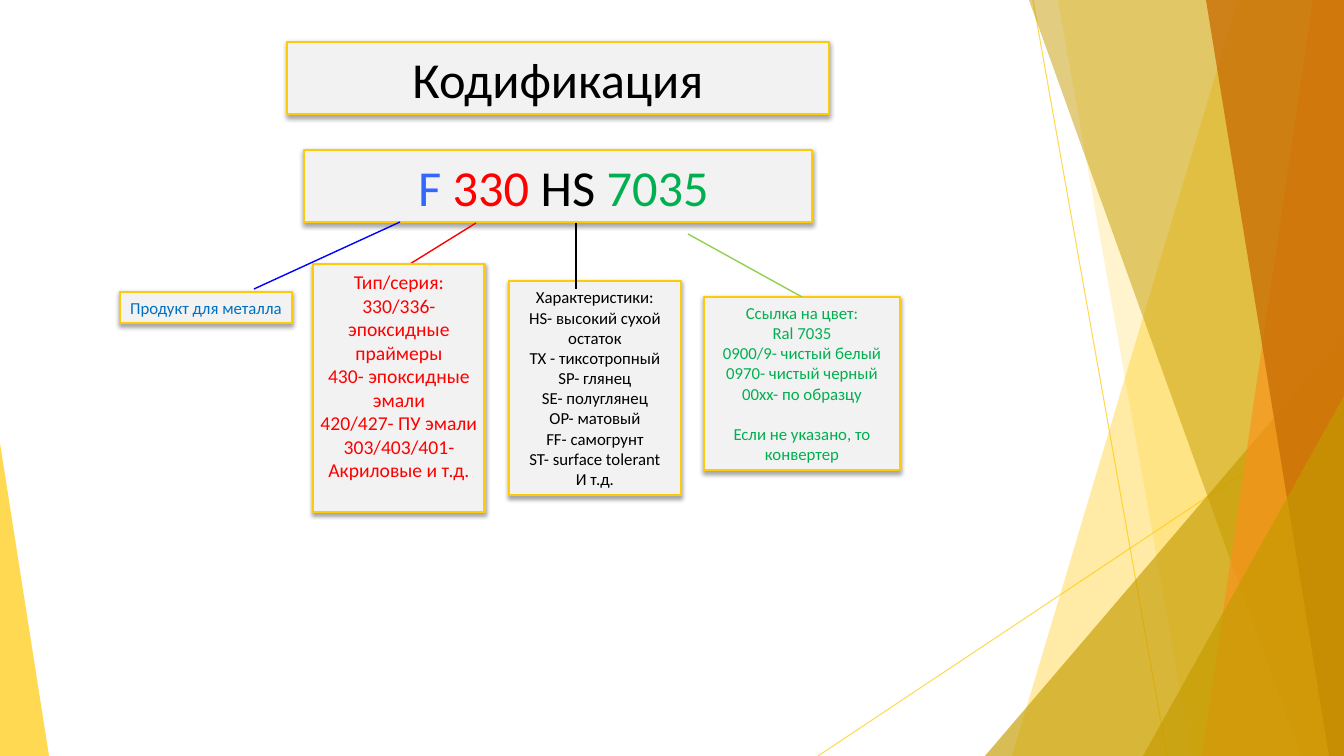
from lxml import etree
from pptx import Presentation
from pptx import util as u
from pptx.dml.color import RGBColor
from pptx.enum import shapes, text
from pptx.oxml.ns import qn

WIDTH, HEIGHT = 1344, 756
SCALE = 12192000 / WIDTH
FONT = "Calibri"
GOLD, OCHRE, ORANGE, RUST = "FFCA08", "C59B00", "F8931D", "CA6F06"
BLACK, RED, GREEN = "000000", "FF0000", "00B050"
INSET = 5

# Background rays: start, end, colour, width in points, opacity
RAYS = [
    ((1033, 0), (1167, 756), GOLD, 0.75, 70),
    ((1344, 406), (818, 756), GOLD, 0.75, 70),
]
# Background facets, back to front. A band is (top x, bottom x) and reaches
# the right edge; a triangle is (left, top, width, height, apex position).
FACETS = [
    ((1238, 1012), GOLD, 36),
    ((1058, 1192), GOLD, 20),
    ((985, 336, 359, 420, 1), OCHRE, 66),
    ((1029, 1301), OCHRE, 50),
    ((1313, 1202), ORANGE, 70),
    ((1206, 1329), RUST, 80),
    ((1143, 396, 201, 360, 1), OCHRE, 66),
    ((0, 443, 49, 313, 0), GOLD, 70),
]

TITLE, TITLE_BOX = "Кодификация", (287, 42, 542, 72)
CODE_BOX = (304, 150, 508, 72)
CODE = [("F ", "3366FF"), ("330 ", RED), ("HS ", BLACK), ("7035", GREEN)]
CODE_INDENT = 11

PRODUCT = ((120, 292, 172, 31), ["Продукт для металла"], 12, "0070C0")
SERIES = ((313, 264, 172, 248), [
    "Тип/серия:",
    "330/336- эпоксидные праймеры",
    "430- эпоксидные эмали",
    "420/427- ПУ эмали",
    "303/403/401-Акриловые и т.д.",
], 14, RED)
SERIES_BOTTOM_GAP = 24
FEATURES = ((509, 281, 172, 214), [
    "Характеристики:",
    "HS- высокий сухой остаток",
    "TX - тиксотропный",
    "SP- глянец",
    "SE- полуглянец",
    "OP- матовый",
    "FF- самогрунт",
    "ST- surface tolerant",
    "И т.д.",
], 12, BLACK)
COLOURS = ((704, 297, 196, 173), [
    "Ссылка на цвет:",
    "Ral 7035",
    "0900/9- чистый белый",
    "0970- чистый черный",
    "00xx- по образцу",
    "Если не указано, то конвертер",
], 12, GREEN)
COLOURS_LAST_GAP = 14.6

# Links from the code to its notes; the first two lie under the series note
LINKS_UNDER = [
    ((400, 222), (254, 289), "0000FF", 1, 100),
    ((476, 223), (368, 290), RED, 1, 100),
]
LINKS_OVER = [
    ((688, 234), (802, 297), "92D050", 1, 100),
    ((576, 223), (576, 289), BLACK, 1, 100),
]


def px(*lengths):
    return [round(length * SCALE) for length in lengths]


def paint(color_format, colour):
    color_format.rgb = RGBColor.from_string(colour)


def fade(element, opacity):
    """Set the opacity, in percent, of the first colour inside element."""
    colour = next(element.iter(qn("a:srgbClr")))
    etree.SubElement(colour, qn("a:alpha"), val=str(opacity * 1000))


def add_line(slide, start, end, colour, width, opacity):
    line = slide.shapes.add_connector(
        shapes.MSO_CONNECTOR.STRAIGHT, *px(*start, *end))
    paint(line.line.color, colour)
    line.line.width = u.Pt(width)
    if opacity < 100:
        fade(line.element.spPr, opacity)
    etree.SubElement(line.element.spPr, qn("a:effectLst"))


def add_facet(slide, outline, colour, opacity):
    if len(outline) == 2:
        top, bottom = outline
        builder = slide.shapes.build_freeform(top, 0, scale=SCALE)
        builder.add_line_segments(
            [(WIDTH, 0), (WIDTH, HEIGHT), (bottom, HEIGHT)], close=True)
        facet = builder.convert_to_shape()
    else:
        *box, apex = outline
        facet = slide.shapes.add_shape(
            shapes.MSO_SHAPE.ISOSCELES_TRIANGLE, *px(*box))
        facet.adjustments[0] = apex
    facet.shadow.inherit = False
    facet.fill.solid()
    paint(facet.fill.fore_color, colour)
    fade(facet.element.spPr, opacity)
    facet.line.fill.background()


def style_panel(panel):
    """Give a grey face, gold border, soft shadow and centred text frame."""
    panel.fill.solid()
    paint(panel.fill.fore_color, "F2F2F2")
    paint(panel.line.color, GOLD)
    panel.line.width = u.Pt(2)
    panel.shadow.inherit = False
    effects = panel.element.spPr.find(qn("a:effectLst"))
    shadow = etree.SubElement(
        effects, qn("a:outerShdw"), blurRad=str(u.Pt(3)),
        dist=str(u.Pt(1.8)), dir="5400000", rotWithShape="0")
    etree.SubElement(shadow, qn("a:srgbClr"), val=BLACK)
    fade(shadow, 35)
    frame = panel.text_frame
    frame.word_wrap = True
    frame.auto_size = text.MSO_AUTO_SIZE.NONE
    frame.vertical_anchor = text.MSO_ANCHOR.MIDDLE
    (frame.margin_left, frame.margin_top,
     frame.margin_right, frame.margin_bottom) = px(*[INSET] * 4)


def add_panel(slide, box):
    panel = slide.shapes.add_shape(shapes.MSO_SHAPE.RECTANGLE, *px(*box))
    style_panel(panel)
    return panel


def style_font(font, size, colour):
    font.name = FONT
    font.size = u.Pt(size)
    paint(font.color, colour)


def format_text(frame, size, colour):
    for paragraph in frame.paragraphs:
        paragraph.alignment = text.PP_ALIGN.CENTER
        for run in paragraph.runs:
            style_font(run.font, size, colour)


def add_note(slide, box, lines, size, colour):
    frame = add_panel(slide, box).text_frame
    frame.text = "\n".join(lines)
    format_text(frame, size, colour)
    return frame


def add_title(slide):
    title = slide.shapes.title
    title.left, title.top, title.width, title.height = px(*TITLE_BOX)
    style_panel(title)
    title.text_frame.text = TITLE
    format_text(title.text_frame, 36, BLACK)


def add_code(slide):
    frame = add_panel(slide, CODE_BOX).text_frame
    frame.margin_left = px(INSET + CODE_INDENT)[0]
    paragraph = frame.paragraphs[0]
    paragraph.alignment = text.PP_ALIGN.CENTER
    for part, colour in CODE:
        run = paragraph.add_run()
        run.text = part
        style_font(run.font, 36, colour)


def main():
    presentation = Presentation()
    presentation.slide_width, presentation.slide_height = px(WIDTH, HEIGHT)
    slide = presentation.slides.add_slide(presentation.slide_layouts[5])

    for ray in RAYS:
        add_line(slide, *ray)
    for facet in FACETS:
        add_facet(slide, *facet)

    add_title(slide)
    add_code(slide)
    add_note(slide, *PRODUCT)
    for link in LINKS_UNDER:
        add_line(slide, *link)
    series = add_note(slide, *SERIES)
    series.margin_bottom = px(INSET + SERIES_BOTTOM_GAP)[0]
    add_note(slide, *FEATURES)
    colours = add_note(slide, *COLOURS)
    colours.paragraphs[-1].space_before = u.Pt(COLOURS_LAST_GAP)
    for link in LINKS_OVER:
        add_line(slide, *link)

    presentation.save("out.pptx")


if __name__ == "__main__":
    main()
